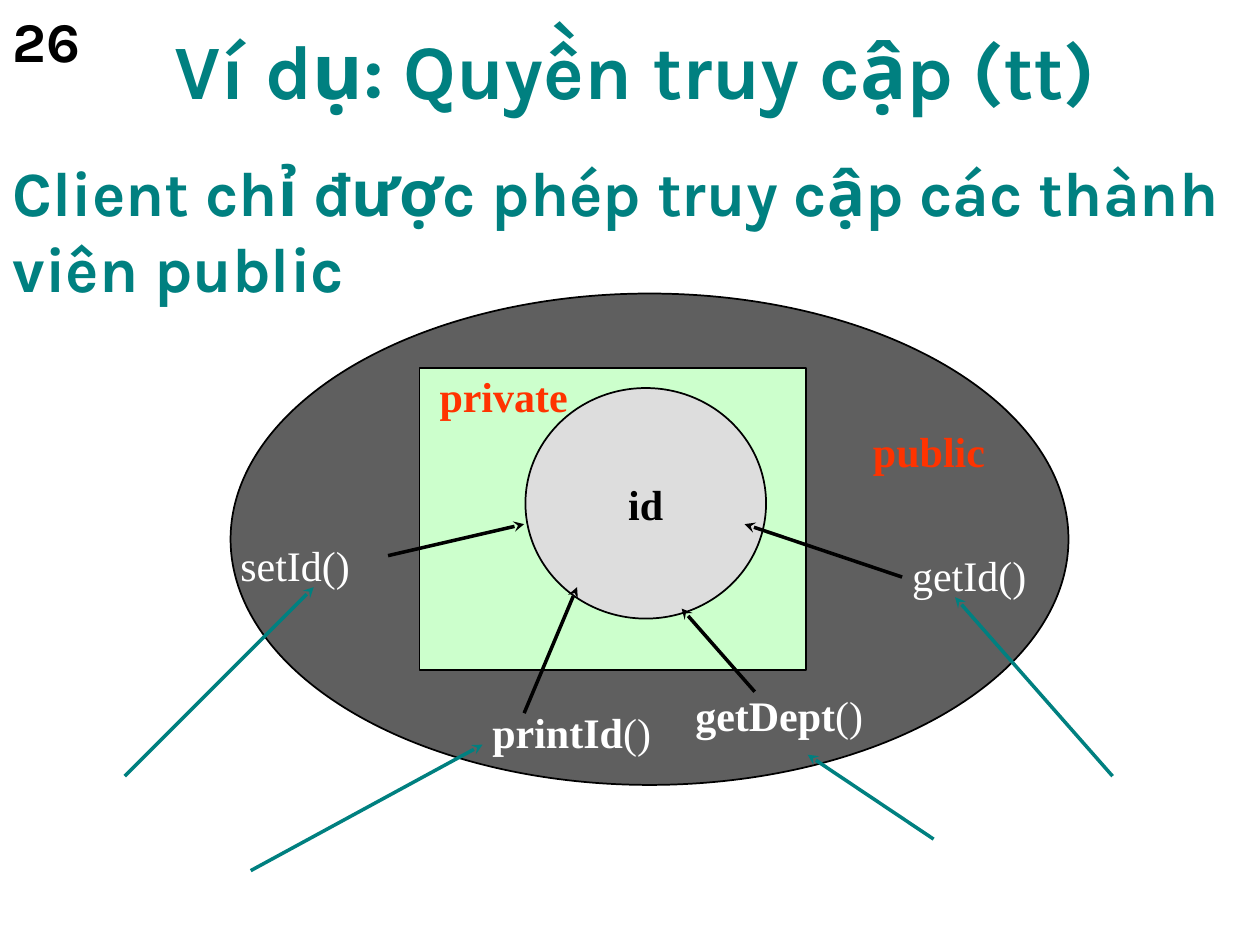
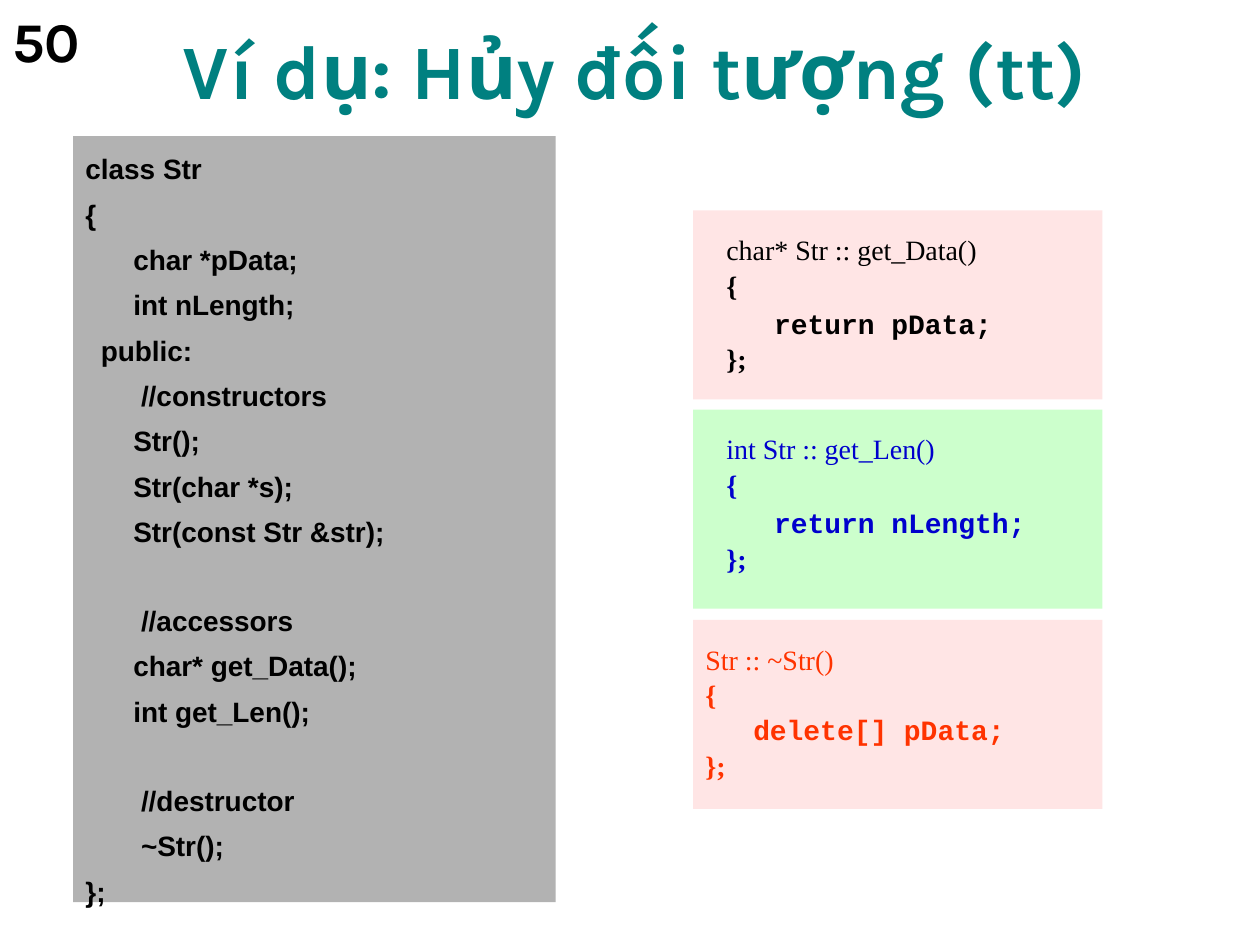
from lxml import etree
from pptx import Presentation
from pptx.dml.color import RGBColor
from pptx.enum.shapes import MSO_CONNECTOR, MSO_SHAPE
from pptx.enum.text import MSO_ANCHOR, MSO_AUTO_SIZE, PP_ALIGN
from pptx.oxml.ns import qn
from pptx.util import Inches, Pt

TEAL = RGBColor(0x00, 0x80, 0x80)
BLACK = RGBColor(0x00, 0x00, 0x00)
WHITE = RGBColor(0xFF, 0xFF, 0xFF)
RED = RGBColor(0xFF, 0x33, 0x00)
BLUE = RGBColor(0x00, 0x00, 0xCC)
DARK_GREY = RGBColor(0x5F, 0x5F, 0x5F)
MID_GREY = RGBColor(0xB2, 0xB2, 0xB2)
LIGHT_GREY = RGBColor(0xDD, 0xDD, 0xDD)
GREEN = RGBColor(0xCC, 0xFF, 0xCC)
PINK = RGBColor(0xFF, 0xE5, 0xE5)

HEADING, SERIF, SANS, MONO = "Karla", "Times New Roman", "Arial", "Courier New"
HANG = 0.38
CODE_GAP = Pt(4.8)
SECTION_GAP = Pt(30)

CLASS_LINES = [
    "class Str", "{", "\tchar *pData;", "\tint nLength;", "  public:",
    "\t //constructors", "\tStr();", "\tStr(char *s);", "\tStr(const Str &str);",
    "\t //accessors", "\tchar* get_Data();", " \tint get_Len();",
    "\t //destructor", "\t ~Str();", "};",
]
SECTION_STARTS = ("\t //accessors", "\t //destructor")


def add_run(p, text, size, color, font=SERIF, bold=False):
    r = p.add_run()
    r.text = text
    r.font.size = Pt(size)
    r.font.name = font
    r.font.bold = bold
    r.font.color.rgb = color


def add_text(slide, left, top, width, height, wrap=True, anchor=MSO_ANCHOR.TOP, grow=True):
    """Add an empty text box and return its text frame."""
    tf = slide.shapes.add_textbox(
        Inches(left), Inches(top), Inches(width), Inches(height)).text_frame
    tf.word_wrap = wrap
    tf.vertical_anchor = anchor
    tf.auto_size = MSO_AUTO_SIZE.SHAPE_TO_FIT_TEXT if grow else MSO_AUTO_SIZE.NONE
    return tf


def add_label(slide, left, top, width, color, name, suffix="", bold=True):
    p = add_text(slide, left, top, width, 0.5, wrap=False).paragraphs[0]
    add_run(p, name, 24, color, bold=bold)
    if suffix:
        add_run(p, suffix, 24, color)


def add_filled(slide, kind, left, top, width, height, fill, outlined=False):
    sp = slide.shapes.add_shape(
        kind, Inches(left), Inches(top), Inches(width), Inches(height))
    sp.shadow.inherit = False
    sp.fill.solid()
    sp.fill.fore_color.rgb = fill
    if outlined:
        sp.line.color.rgb = BLACK
        sp.line.width = Pt(1)
    else:
        sp.line.fill.background()
    return sp


def add_arrow(slide, start, end, color):
    line = slide.shapes.add_connector(
        MSO_CONNECTOR.STRAIGHT, *(Inches(v) for v in (*start, *end)))
    line.line.color.rgb = color
    line.line.width = Pt(2)
    etree.SubElement(line.line._get_or_add_ln(), qn("a:tailEnd"), type="stealth")
    etree.SubElement(line._element.spPr, qn("a:effectLst"))


def add_code_panel(slide, left, top, width, height, fill, top_inset):
    """Add a code background and return its text frame."""
    sp = add_filled(slide, MSO_SHAPE.RECTANGLE, left, top, width, height, fill)
    tf = sp.text_frame
    tf.word_wrap = True
    tf.vertical_anchor = MSO_ANCHOR.TOP
    tf.margin_top = Inches(top_inset)
    return tf


def add_code_line(tf, first, runs, color, spacing, gap=CODE_GAP):
    """Add one hanging line; runs holds (text, font, bold) tuples."""
    p = tf.paragraphs[0] if first else tf.add_paragraph()
    p.alignment = PP_ALIGN.LEFT
    p.line_spacing = spacing
    p.space_before = Pt(0) if first else gap
    pPr = p._p.get_or_add_pPr()
    pPr.set("marL", str(Inches(HANG)))
    pPr.set("indent", str(-Inches(HANG)))
    for text, font, bold in runs:
        add_run(p, text, 16, color, font, bold)


def add_method(slide, top, height, fill, color, signature, statement, pad=""):
    """Add the panel of one method body; pad is the code's leading spaces."""
    tf = add_code_panel(slide, 5.5, top, 3.25, height, fill, 0.23)
    lines = [
        ([(pad + signature, SERIF, False)], 0.8),
        ([(pad + "{", SERIF, True)], 0.8),
        ([("\t" + pad, SERIF, True), (statement, MONO, True)], 0.9 if pad else 0.8),
        ([(pad + "};", SERIF, True)], 0.8),
    ]
    for i, (runs, spacing) in enumerate(lines):
        add_code_line(tf, i == 0, runs, color, spacing)


def add_slide(prs, title, number):
    """Add a blank slide with its title and page number."""
    slide = prs.slides.add_slide(prs.slide_layouts[6])
    tf = add_text(slide, 0.33, 0.17, 9.42, 0.79, anchor=MSO_ANCHOR.BOTTOM, grow=False)
    tf.paragraphs[0].alignment = PP_ALIGN.CENTER
    add_run(tf.paragraphs[0], title, 44, TEAL, HEADING, True)
    tf = add_text(slide, 0, 0, 1.08, 0.71)
    add_run(tf.paragraphs[0], number, 32, BLACK, HEADING, True)
    return slide


def build_access_slide(prs):
    slide = add_slide(prs, "Ví dụ: Quyền truy cập (tt)", "26")
    tf = add_text(slide, 0, 1.67, 10, 0.8, anchor=MSO_ANCHOR.BOTTOM, grow=False)
    add_run(tf.paragraphs[0], "Client chỉ được phép truy cập các thành viên public",
            36, TEAL, HEADING, True)

    add_filled(slide, MSO_SHAPE.OVAL, 1.83, 2.33, 6.65, 3.9, DARK_GREY, True)
    add_filled(slide, MSO_SHAPE.RECTANGLE, 3.33, 2.92, 3.07, 2.4, GREEN, True)
    member = add_filled(slide, MSO_SHAPE.OVAL, 4.17, 3.08, 1.91, 1.83, LIGHT_GREY, True)
    member.text_frame.word_wrap = False
    p = member.text_frame.paragraphs[0]
    p.alignment = PP_ALIGN.CENTER
    add_run(p, "id", 24, BLACK, bold=True)

    add_label(slide, 3.39, 2.89, 1.22, RED, "private")
    add_label(slide, 6.83, 3.33, 1.09, RED, "public")
    add_label(slide, 3.81, 5.56, 1.46, WHITE, "printId", "()")
    add_label(slide, 5.42, 5.42, 1.54, WHITE, "getDept", "()")
    add_label(slide, 1.81, 4.23, 1.07, WHITE, "setId()", bold=False)
    add_label(slide, 7.14, 4.31, 1.11, WHITE, "getId()", bold=False)

    method_to_member = [
        ((4.16, 5.66), (4.58, 4.66)), ((7.16, 4.58), (5.91, 4.16)),
        ((3.08, 4.41), (4.16, 4.16)), ((5.99, 5.49), (5.41, 4.83)),
    ]
    client_to_method = [
        ((1.99, 6.91), (3.83, 5.91)), ((0.99, 6.16), (2.49, 4.66)),
        ((7.41, 6.66), (6.41, 5.99)), ((8.83, 6.16), (7.58, 4.74)),
    ]
    for color, arrows in ((BLACK, method_to_member), (TEAL, client_to_method)):
        for start, end in arrows:
            add_arrow(slide, start, end, color)


def build_destructor_slide(prs):
    slide = add_slide(prs, "Ví dụ: Hủy đối tượng (tt)", "50")
    tf = add_code_panel(slide, 0.58, 1.08, 3.83, 6.08, MID_GREY, 0.1)
    for i, line in enumerate(CLASS_LINES):
        gap = SECTION_GAP if line in SECTION_STARTS else CODE_GAP
        add_code_line(tf, i == 0, [(line, SANS, True)], BLACK, 1.1, gap)

    add_method(slide, 1.67, 1.5, PINK, BLACK,
               "char* Str :: get_Data()", "return pData;", "   ")
    add_method(slide, 3.25, 1.58, GREEN, BLUE,
               "int Str :: get_Len()", "return nLength;", "   ")
    add_method(slide, 4.92, 1.5, PINK, RED, "Str :: ~Str()", "delete[] pData;")


def main():
    prs = Presentation()
    prs.slide_width, prs.slide_height = Inches(10), Inches(7.5)
    build_access_slide(prs)
    build_destructor_slide(prs)
    prs.save("out.pptx")


if __name__ == "__main__":
    main()
